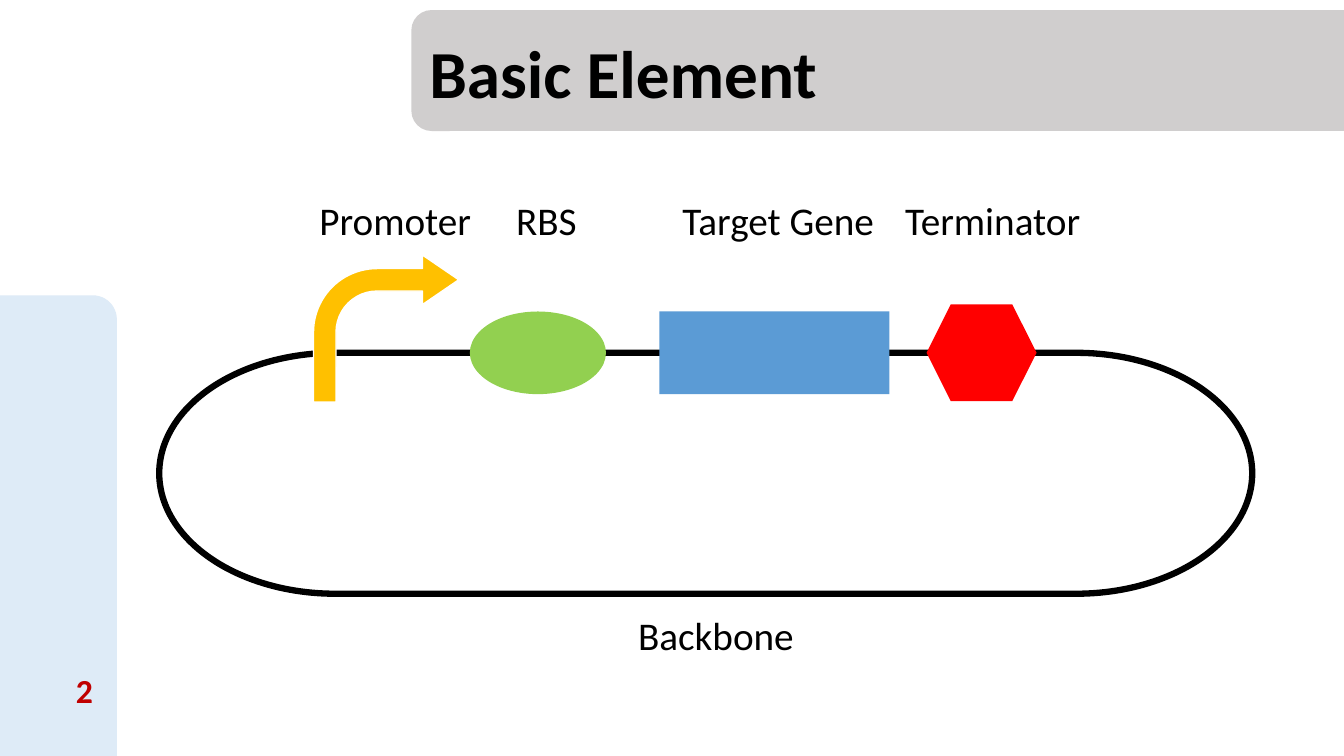
from dataclasses import dataclass

from pptx import Presentation
from pptx.dml.color import RGBColor
from pptx.enum import shapes, text
from pptx.util import Inches, Pt


@dataclass(frozen=True)
class Theme:
    font: str = "Calibri"
    ink: str = "000000"
    paper: str = "FFFFFF"
    header: str = "D0CECE"
    sidebar: str = "DEEBF7"
    promoter: str = "FFC000"
    rbs: str = "92D050"
    gene: str = "5B9BD5"
    terminator: str = "FF0000"
    number: str = "C00000"
    title_size: int = 48
    label_size: int = 28
    number_size: int = 24


theme = Theme()
SHAPE = shapes.MSO_SHAPE


def add_part(s, kind, box, fill=None, line=None, width=1):
    sp = s.shapes.add_shape(kind, *map(Inches, box))
    sp.shadow.inherit = False
    if fill:
        sp.fill.solid()
        sp.fill.fore_color.rgb = RGBColor.from_string(fill)
    else:
        sp.fill.background()
    if line:
        sp.line.color.rgb = RGBColor.from_string(line)
        sp.line.width = Pt(width)
    else:
        sp.line.fill.background()
    return sp


def add_text(s, words, box, size, color=theme.ink, bold=False,
             anchor=text.MSO_ANCHOR.TOP, align=text.PP_ALIGN.LEFT):
    tf = s.shapes.add_textbox(*map(Inches, box)).text_frame
    tf.word_wrap = True
    tf.vertical_anchor = anchor
    tf.text = words
    p = tf.paragraphs[0]
    p.alignment = align
    r = p.runs[0]
    r.font.name = theme.font
    r.font.size = Pt(size)
    r.font.bold = bold
    r.font.color.rgb = RGBColor.from_string(color)
    return p


prs = Presentation()
prs.slide_width = Inches(13.33)
prs.slide_height = Inches(7.5)
s = prs.slides.add_slide(prs.slide_layouts[6])

add_part(s, SHAPE.ROUNDED_RECTANGLE, (4.08, 0.1, 9.52, 1.2), theme.header)
add_part(s, SHAPE.ROUNDED_RECTANGLE, (-0.27, 2.93, 1.43, 4.84), theme.sidebar)
title = add_text(s, "Basic Element", (4.16, 0.04, 9, 1.45), theme.title_size,
                 bold=True, anchor=text.MSO_ANCHOR.MIDDLE)
title.line_spacing = 0.9

add_part(s, SHAPE.FLOWCHART_TERMINATOR, (1.58, 3.5, 10.84, 2.39),
         line=theme.ink, width=4.5)
promoter = add_part(s, SHAPE.BENT_ARROW, (3.11, 2.53, 1.44, 1.46),
                    theme.promoter, theme.paper)
for i, value in enumerate((0.155, 0.171, 0.25, 0.438)):
    promoter.adjustments[i] = value

for kind, box, fill in (
    (SHAPE.OVAL, (4.66, 3.09, 1.35, 0.82), theme.rbs),
    (SHAPE.RECTANGLE, (6.54, 3.09, 2.28, 0.82), theme.gene),
    (SHAPE.HEXAGON, (9.19, 3.02, 1.09, 0.96), theme.terminator),
):
    add_part(s, kind, box, fill)

for words, left, top, width in (
    ("Promoter", 3.07, 1.9, 1.88),
    ("RBS", 5.02, 1.9, 1.88),
    ("Target Gene", 6.67, 1.9, 2.46),
    ("Terminator", 8.88, 1.9, 2.46),
    ("Backbone", 6.23, 6.02, 2.46),
):
    add_text(s, words, (left, top, width, 0.57), theme.label_size)

add_text(s, "2", (0, 6.65, 1.02, 0.4), theme.number_size, theme.number, True,
         text.MSO_ANCHOR.MIDDLE, text.PP_ALIGN.RIGHT)

prs.save("out.pptx")
